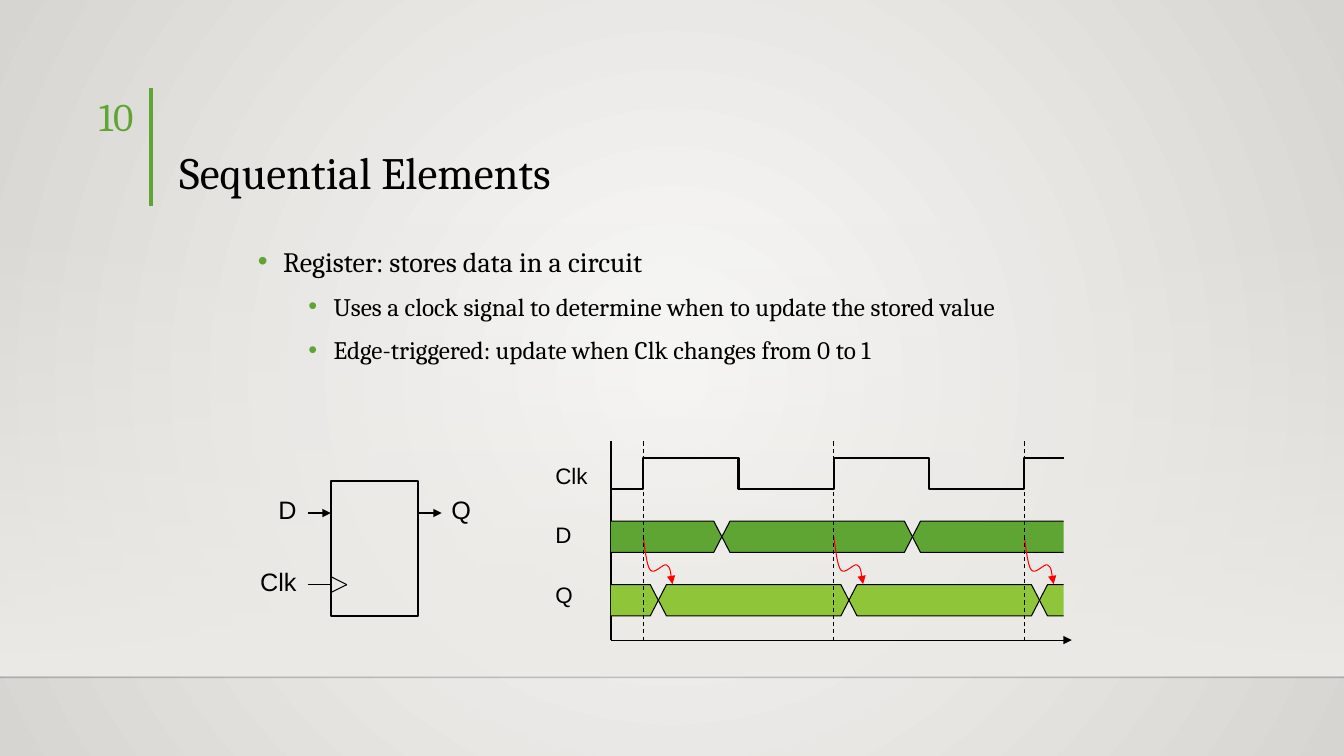
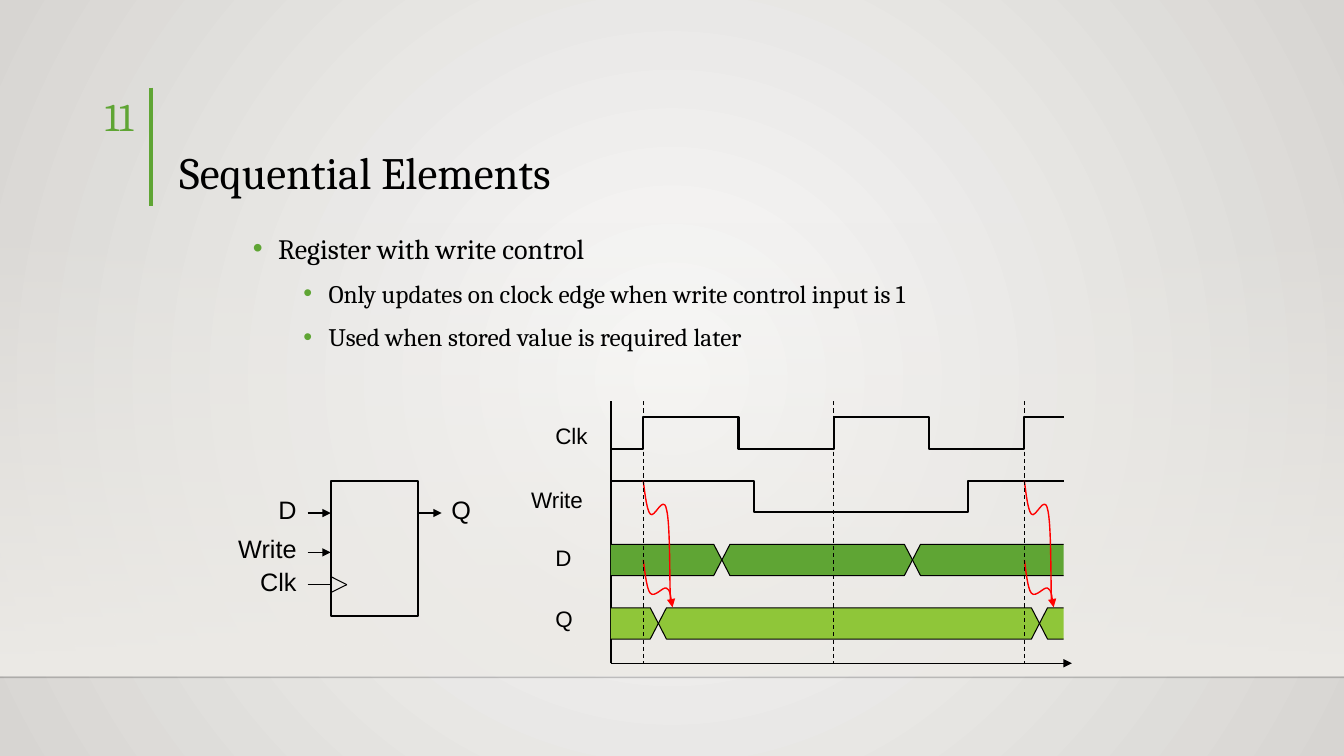
from itertools import pairwise

from pptx import Presentation
from pptx.dml.color import RGBColor
from pptx.enum.dml import MSO_LINE
from pptx.enum.shapes import MSO_CONNECTOR, MSO_SHAPE
from pptx.enum.text import MSO_ANCHOR, MSO_AUTO_SIZE, PP_ALIGN
from pptx.oxml.ns import qn
from pptx.util import Inches, Pt
from lxml.etree import SubElement

BLACK = RGBColor(0x00, 0x00, 0x00)
RULE = RGBColor(0x00, 0x00, 0x01)
GREEN = RGBColor(0x5F, 0xA5, 0x34)
LIME = RGBColor(0x8F, 0xC6, 0x39)
RED = RGBColor(0xFF, 0x00, 0x00)
GLOW = RGBColor(0xFA, 0xFA, 0xF9)
SHADE = RGBColor(0xD7, 0xD5, 0xD2)
BAND = RGBColor(0xED, 0xEB, 0xE7)

SERIF, SANS = "Cambria", "Arial"
STRAIGHT, RECTANGLE = MSO_CONNECTOR.STRAIGHT, MSO_SHAPE.RECTANGLE
DASH = MSO_LINE.DASH
LEFT, RIGHT = PP_ALIGN.LEFT, PP_ALIGN.RIGHT
BOTTOM, FIXED = MSO_ANCHOR.BOTTOM, MSO_AUTO_SIZE.NONE
TITLE_ONLY = 5

# Timing diagram, in inches
START, END, TIME_TIP = 6.06, 10.55, 10.63
PERIOD = 1.89
EDGES = [6.38 + PERIOD * cycle for cycle in range(3)]
DATA_CHANGES = [7.16, 7.16 + PERIOD]
LANE_PITCH, LANE_HEIGHT, SLOPE = 0.63, 0.31, 0.08
STORE_DELAY = 0.15

# Bezier points of the red arrows, relative to the clock edge
DATA_CURVE = [(0, 0), (0.01, 0.06), (0.03, 0.29), (0.07, 0.33), (0.11, 0.38),
              (0.2, 0.26), (0.23, 0.28), (0.27, 0.3), (0.28, 0.43), (0.29, 0.47)]
WRITE_CURVE = [(0, 0), (0.01, 0.06), (0.03, 0.29), (0.07, 0.33), (0.11, 0.38),
               (0.2, 0.13), (0.23, 0.28), (0.27, 0.42), (0.26, 1.01), (0.27, 1.2)]


def set_alpha(fill_parent, percent, stop=0):
    color = fill_parent.findall(".//" + qn("a:srgbClr"))[stop]
    SubElement(color, qn("a:alpha")).set("val", str(percent * 1000))


def set_gradient(fill, first, last):
    fill.gradient()
    for stop, color in zip(fill.gradient_stops, (first, last)):
        stop.color.rgb = color


class Deck:
    def __init__(self):
        self.prs = Presentation()
        self.prs.slide_width, self.prs.slide_height = Inches(13.33), Inches(7.5)
        self.layout = self.prs.slide_layouts[TITLE_ONLY]
        self.slide = None
        self.set_background()

    def set_background(self):
        background = self.prs.slide_master.background
        set_gradient(background.fill, GLOW, SHADE)
        gradient = self.prs.slide_master.element.find(".//" + qn("a:gradFill"))
        gradient.remove(gradient.find(qn("a:lin")))
        radial = SubElement(gradient, qn("a:path"))
        radial.set("path", "circle")
        center = SubElement(radial, qn("a:fillToRect"))
        for side in "ltrb":
            center.set(side, "50000")

    def decorate_layout(self):
        """Draw the shared band and rules, then move them to the layout."""
        band = self.slide.shapes.add_shape(
            RECTANGLE, 0, Inches(2.2), self.prs.slide_width, Inches(4.5))
        band.shadow.inherit = False
        band.line.fill.background()
        set_gradient(band.fill, BAND, BAND)
        band.fill.gradient_angle = 270
        set_alpha(band.element.spPr, 0)
        horizon = self.line((0, 6.72), (13.33, 6.72), 1, RULE)
        set_alpha(horizon.element.spPr, 20)
        title_bar = self.line((1.5, 0.87), (1.5, 2.04), 3, GREEN)
        for order, shape in enumerate((band, horizon, title_bar)):
            shape.element.find(".//" + qn("p:cNvPr")).set("id", str(100 + order))
            self.layout.shapes.element.insert(2 + order, shape.element)

    def new_slide(self, number, title):
        is_first = self.slide is None
        self.slide = self.prs.slides.add_slide(self.layout)
        if is_first:
            self.decorate_layout()
        heading = self.slide.shapes.title
        heading.left, heading.top = Inches(1.68), Inches(0.88)
        heading.width, heading.height = Inches(10.41), Inches(1.15)
        frame = heading.text_frame
        frame.word_wrap, frame.auto_size = True, FIXED
        frame.vertical_anchor = BOTTOM
        paragraph = frame.paragraphs[0]
        paragraph.alignment, paragraph.line_spacing = LEFT, 0.9
        self.run(paragraph, title, 32, SERIF)
        self.text(number, (0.53, 0.87, 0.89, 0.55), 28, SERIF, GREEN, RIGHT)

    def run(self, paragraph, words, size, font, color=BLACK):
        run = paragraph.add_run()
        run.text = words
        run.font.size, run.font.name = Pt(size), font
        run.font.color.rgb = color

    def text_frame(self, box):
        frame = self.slide.shapes.add_textbox(*map(Inches, box)).text_frame
        frame.word_wrap = True
        return frame

    def text(self, words, box, size, font=SANS, color=BLACK, align=LEFT):
        paragraph = self.text_frame(box).paragraphs[0]
        paragraph.alignment = align
        self.run(paragraph, words, size, font, color)

    def bullets(self, box, topic, details):
        frame = self.text_frame(box)
        for order, words in enumerate([topic, *details]):
            paragraph = frame.add_paragraph() if order else frame.paragraphs[0]
            level = min(order, 1)
            properties = paragraph._p.get_or_add_pPr()
            properties.set("marL", str(Inches(0.25 + 0.5 * level)))
            properties.set("indent", str(Inches(-0.25)))
            bullet_color = SubElement(properties, qn("a:buClr"))
            SubElement(bullet_color, qn("a:srgbClr")).set("val", str(GREEN))
            SubElement(properties, qn("a:buFont")).set("typeface", SANS)
            SubElement(properties, qn("a:buChar")).set("char", "•")
            paragraph.level = level
            paragraph.line_spacing = 1.2
            paragraph.space_before = Pt(5 * level)
            self.run(paragraph, words, 18 if level else 20, SERIF)

    def stroke(self, shape, width, color, arrow=False):
        shape.line.width = Pt(width)
        shape.line.color.rgb = color
        if arrow:
            head = SubElement(shape.line._get_or_add_ln(), qn("a:tailEnd"))
            head.set("type", "triangle")

    def line(self, start, end, width=0.75, color=BLACK, dash=None, arrow=False):
        line = self.slide.shapes.add_connector(
            STRAIGHT, *map(Inches, (*start, *end)))
        if dash:
            line.line.dash_style = dash
        self.stroke(line, width, color, arrow)
        SubElement(line.element.spPr, qn("a:effectLst"))
        return line

    def outline(self, points, width=0.75, color=BLACK, fill=None, closed=False,
                arrow=False):
        corners = [(Inches(x), Inches(y)) for x, y in points]
        builder = self.slide.shapes.build_freeform(*corners[0])
        builder.add_line_segments(corners[1:], close=closed)
        shape = builder.convert_to_shape()
        shape.shadow.inherit = False
        if fill is None:
            shape.fill.background()
        else:
            shape.fill.solid()
            shape.fill.fore_color.rgb = fill
        self.stroke(shape, width, color, arrow)
        return shape

    def curve(self, origin, offsets, width, arrow=False):
        """Draw a red Bezier curve: a start, then three points per section."""
        x, y = origin
        shape = self.outline([(x + dx, y + dy) for dx, dy in offsets],
                             width, RED, arrow=arrow)
        geometry = shape.element.find(".//" + qn("a:path"))
        segments = geometry.findall(qn("a:lnTo"))
        for first in range(0, len(segments), 3):
            section = SubElement(geometry, qn("a:cubicBezTo"))
            for segment in segments[first:first + 3]:
                section.append(segment[0])
                geometry.remove(segment)

    def register(self, has_write):
        left, top, width, height = 3.28, 4.77, 0.87, 1.34
        right, data_y, clock_y, lead = left + width, 5.09, 5.8, 0.23
        body = self.slide.shapes.add_shape(
            RECTANGLE, *map(Inches, (left, top, width, height)))
        body.shadow.inherit = False
        body.fill.background()
        self.stroke(body, 1.5, BLACK)
        inputs = [("D", data_y, 4.86, True), ("Clk", clock_y, 5.57, False)]
        if has_write:
            inputs.append(("Write", 5.48, 5.24, True))
        for name, y, label_top, arrow in inputs:
            self.line((left - lead, y), (left, y), 1 if arrow else 0.75, arrow=arrow)
            self.text(name, (2.24, label_top, 0.8, 0.4), 18, align=RIGHT)
        self.line((right, data_y), (right + lead, data_y), 1, arrow=True)
        self.text("Q", (right + lead, 4.86, 0.4, 0.4), 18)
        for y in (clock_y - 0.08, clock_y + 0.08):
            self.line((left, y), (left + 0.16, clock_y))

    def trace(self, top, changes, is_high):
        """Draw a two-level signal that flips at each change."""
        points = []
        for begin, end in pairwise([START, *changes, END]):
            y = top if is_high else top + LANE_HEIGHT
            points += [(begin, y), (end, y)]
            is_high = not is_high
        self.outline(points, 1.5)

    def bus(self, top, changes, fill):
        """Draw a data lane whose cells cross over at each change."""
        middle, bottom = top + LANE_HEIGHT / 2, top + LANE_HEIGHT
        for begin, end in pairwise([START, *changes, END]):
            left_side = [(begin + SLOPE, bottom), (begin, middle), (begin + SLOPE, top)]
            right_side = [(end - SLOPE, top), (end, middle), (end - SLOPE, bottom)]
            if begin == START:
                cell = [(START, top), *right_side, (START, bottom)]
            elif end == END:
                cell = [(END, bottom), *left_side, (END, top)]
            else:
                cell = left_side + right_side
            closed = begin != START and end != END
            self.outline(cell, fill=fill, closed=closed)

    def timing(self, clock_top, labels, stored_edges, arrow_width):
        """Labels hold name, left and shift from the lane top, one per lane."""
        tops = {}
        for lane, (name, left, shift) in enumerate(labels):
            tops[name] = clock_top + LANE_PITCH * lane
            self.text(name, (left, tops[name] + shift, 0.75, 0.37), 16)
        diagram_top, axis_y = clock_top - 0.16, tops["Q"] + 0.55
        self.line((START, axis_y), (TIME_TIP, axis_y), arrow=True)
        self.line((START, axis_y), (START, diagram_top))

        falls = [edge + PERIOD / 2 for edge in EDGES[:-1]]
        self.trace(tops["Clk"], sorted(EDGES + falls), False)
        if "Write" in tops:
            self.trace(tops["Write"], [7.48, 9.6], True)
        self.bus(tops["D"], DATA_CHANGES, GREEN)
        self.bus(tops["Q"], [edge + STORE_DELAY for edge in stored_edges], LIME)

        for edge in stored_edges:
            data_middle = tops["D"] + LANE_HEIGHT / 2
            self.curve((edge, data_middle), DATA_CURVE, arrow_width, arrow=True)
            if "Write" in tops:
                self.curve((edge, tops["Write"]), WRITE_CURVE, arrow_width)
        for edge in EDGES:
            self.line((edge, diagram_top), (edge, axis_y), dash=DASH)


def main():
    deck = Deck()
    clock, data, stored = ("Clk", 5.41, 0), ("D", 5.41, -0.05), ("Q", 5.41, -0.08)

    deck.new_slide("10", "Sequential Elements")
    deck.bullets((2.46, 2.31, 9.05, 1.76), "Register: stores data in a circuit", [
        "Uses a clock signal to determine when to update the stored value",
        "Edge-triggered: update when Clk changes from 0 to 1"])
    deck.register(has_write=False)
    deck.timing(4.54, [clock, data, stored], EDGES, 0.75)

    deck.new_slide("11", "Sequential Elements")
    deck.bullets((2.41, 2.18, 9.05, 1.57), "Register with write control", [
        "Only updates on clock edge when write control input is 1",
        "Used when stored value is required later"])
    deck.register(has_write=True)
    deck.timing(4.14, [clock, ("Write", 5.17, 0), data, stored], EDGES[::2], 1)

    deck.prs.save("out.pptx")


if __name__ == "__main__":
    main()
